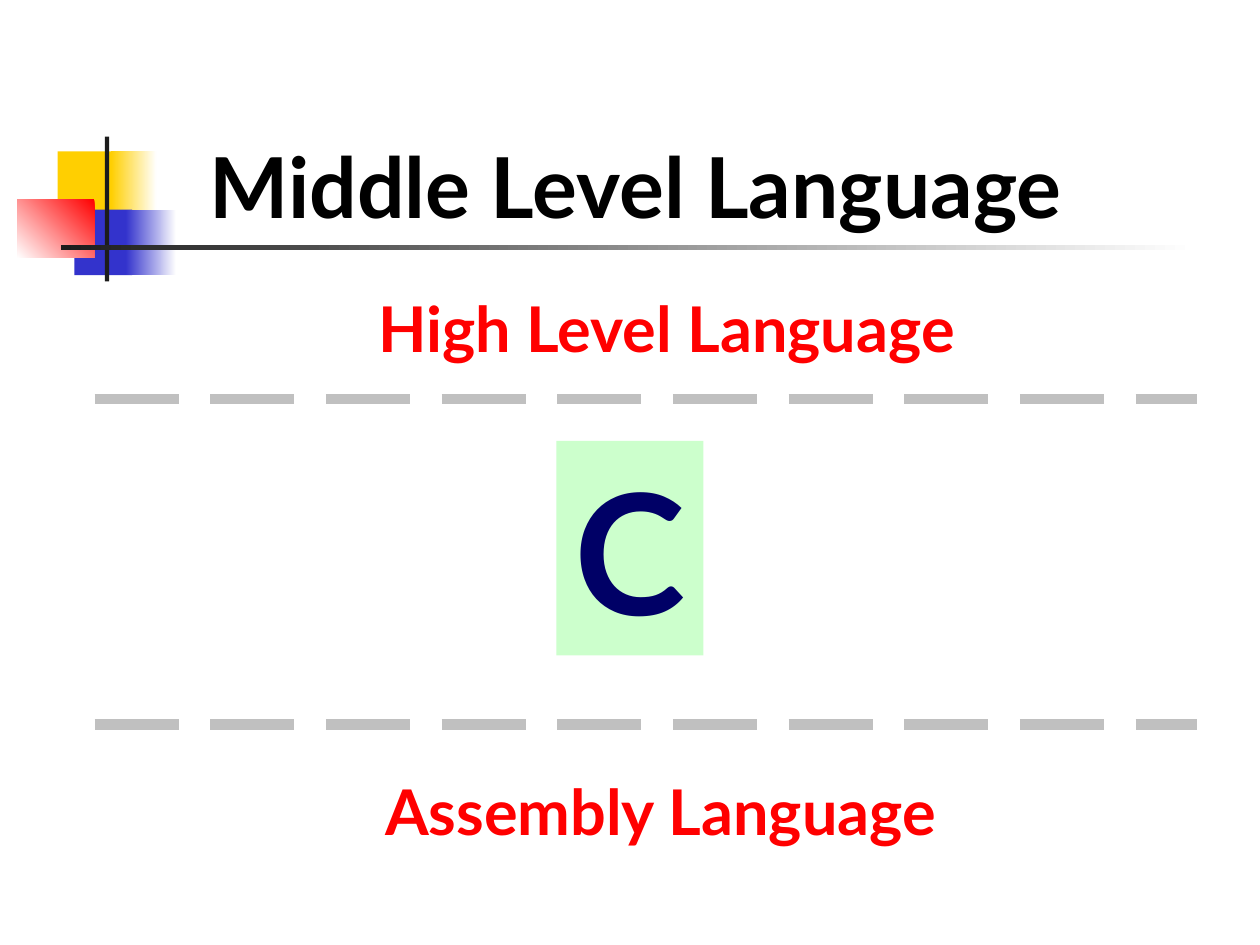
from lxml import etree
from pptx import Presentation
from pptx.dml.color import RGBColor
from pptx.enum.dml import MSO_LINE
from pptx.enum.shapes import MSO_CONNECTOR, MSO_SHAPE
from pptx.enum.text import MSO_ANCHOR, MSO_AUTO_SIZE, PP_ALIGN
from pptx.oxml.ns import qn
from pptx.util import Pt

RECTANGLE = MSO_SHAPE.RECTANGLE
STRAIGHT = MSO_CONNECTOR.STRAIGHT
LONG_DASH = MSO_LINE.LONG_DASH
TOP = MSO_ANCHOR.TOP
NO_FIT = MSO_AUTO_SIZE.NONE
LEFT, CENTER = PP_ALIGN.LEFT, PP_ALIGN.CENTER
TITLE_ONLY = 5

COLORS = {
    "black": "000000",
    "white": "FFFFFF",
    "yellow": "FFCF01",
    "blue": "3333CC",
    "red": "FF0000",
    "charcoal": "1C1C1C",
    "navy": "000066",
    "mint": "CCFFCC",
    "silver": "C0C0C0",
}


class SlideBuilder:
    font_name = "Lato"

    def __init__(self, page):
        self.page = page

    def color(self, name):
        return RGBColor.from_string(COLORS[name])

    def set_text(self, shape, text, size, color, align=CENTER, wrap=True):
        frame = shape.text_frame
        frame.auto_size = NO_FIT
        frame.word_wrap = wrap
        frame.vertical_anchor = TOP
        frame.text = text
        para = frame.paragraphs[0]
        para.alignment = align
        para.font.name = self.font_name
        para.font.size = Pt(size)
        para.font.bold = True
        para.font.color.rgb = self.color(color)

    def title(self, text, left, top, width, height):
        title = self.page.shapes.title
        title.left, title.top = Pt(left), Pt(top)
        title.width, title.height = Pt(width), Pt(height)
        self.set_text(title, text, 48, "black", LEFT)

    def label(self, text, left, top, width, height):
        box = self.page.shapes.add_textbox(Pt(left), Pt(top), Pt(width), Pt(height))
        self.set_text(box, text, 36, "red", wrap=False)

    def block(self, color, left, top, width, height):
        shape = self.page.shapes.add_shape(
            RECTANGLE, Pt(left), Pt(top), Pt(width), Pt(height))
        shape.shadow.inherit = False
        shape.line.fill.background()
        shape.fill.solid()
        shape.fill.fore_color.rgb = self.color(color)
        return shape

    def fading_block(self, color, left, top, width, height, angle=0):
        fill = self.block(color, left, top, width, height).fill
        fill.gradient()
        fill.gradient_angle = angle
        for stop, name in zip(fill.gradient_stops, (color, "white")):
            stop.color.rgb = self.color(name)

    def divider(self, left, right, top):
        line = self.page.shapes.add_connector(
            STRAIGHT, Pt(left), Pt(top), Pt(right), Pt(top))
        line.line.color.rgb = self.color("silver")
        line.line.width = Pt(6)
        line.line.dash_style = LONG_DASH
        etree.SubElement(line._element.spPr, qn("a:effectLst"))


def main():
    deck = Presentation()
    deck.slide_width, deck.slide_height = Pt(720), Pt(540)
    builder = SlideBuilder(deck.slides.add_slide(deck.slide_layouts[TITLE_ONLY]))

    builder.block("yellow", 33, 86.5, 34.5, 37.5)
    builder.fading_block("yellow", 63.5, 86.5, 26, 37.5)
    builder.block("blue", 42.5, 119.8, 33, 37.5)
    builder.fading_block("blue", 72, 119.8, 28.8, 37.5)
    builder.fading_block("red", 10, 113.8, 44, 33.5, angle=225)
    builder.block("charcoal", 59.9, 78, 2.5, 82.8)
    builder.fading_block("charcoal", 34.8, 140.2, 648, 2.5)

    builder.title("Middle Level Language", 112.5, 73.5, 584, 65)
    builder.label("High Level Language", 186, 162, 390, 50.5)
    builder.label("Assembly Language", 191, 438, 373, 50.5)
    language = builder.block("mint", 318, 252, 84, 122.5)
    builder.set_text(language, "C", 96, "navy")
    for top in (414, 228):
        builder.divider(54, 684, top)

    deck.save("out.pptx")


if __name__ == "__main__":
    main()
